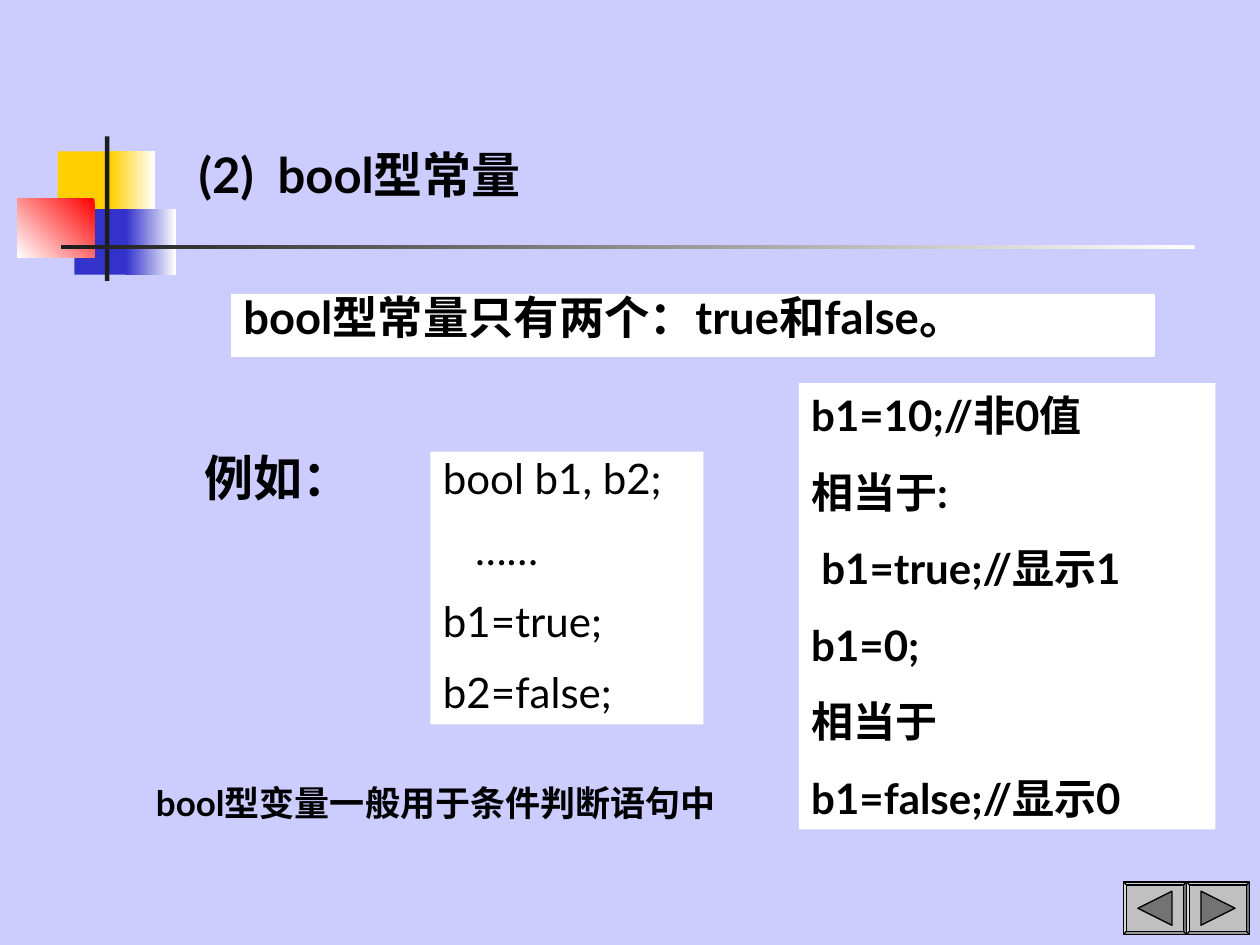
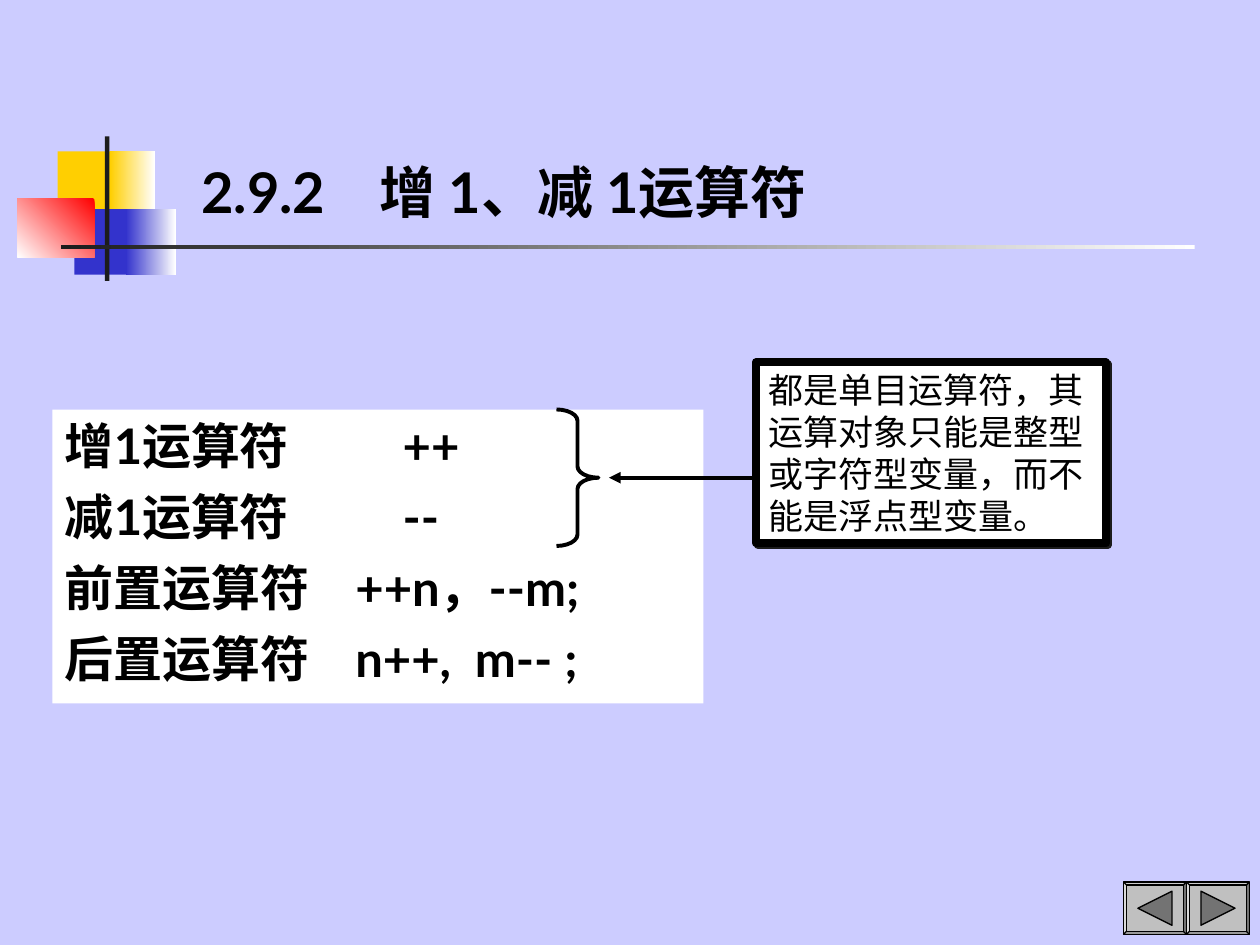
from itertools import groupby

from lxml.etree import SubElement
from pptx import Presentation
from pptx.dml.color import RGBColor
from pptx.enum.shapes import MSO_CONNECTOR, MSO_SHAPE
from pptx.enum.text import MSO_ANCHOR
from pptx.oxml.ns import qn
from pptx.util import Pt

COLORS = {
    "background": "CCCCFF",
    "white": "FFFFFF",
    "black": "000000",
    "yellow": "FFCF01",
    "blue": "3333CC",
    "red": "FF0000",
    "rule": "1C1C1C",
    "button": "C0C0C0",
    "arrow": "737373",
}
LATIN, CHINESE = "Lato", "Noto Sans CJK SC"


def draw(slide, preset, box, fill=None, fade=None, angle=180, line=None, width=0.75):
    shape = slide.shapes.add_shape(preset, *map(Pt, box))
    shape.shadow.inherit = False
    if fade:
        shape.fill.gradient()
        shape.fill.gradient_angle = angle
        for stop, name in zip(shape.fill.gradient_stops, fade):
            stop.color.rgb = RGBColor.from_string(COLORS[name])
    elif fill:
        shape.fill.solid()
        shape.fill.fore_color.rgb = RGBColor.from_string(COLORS[fill])
    else:
        shape.fill.background()
    if line:
        shape.line.color.rgb = RGBColor.from_string(COLORS[line])
        shape.line.width = Pt(width)
    else:
        shape.line.fill.background()
    return shape


def write(slide, text, box, size=28, bold=True, fill=None, border=None,
          anchor=MSO_ANCHOR.TOP, spacing=None, before=0, tabs=()):
    panel = slide.shapes.add_textbox(*map(Pt, box))
    if fill:
        panel.fill.solid()
        panel.fill.fore_color.rgb = RGBColor.from_string(COLORS[fill])
    if border:
        panel.line.color.rgb = RGBColor.from_string(COLORS["black"])
        panel.line.width = Pt(border)
    frame = panel.text_frame
    frame.word_wrap = True
    frame.vertical_anchor = anchor
    for index, sentence in enumerate(text.split("\n")):
        paragraph = frame.add_paragraph() if index else frame.paragraphs[0]
        if spacing:
            paragraph.line_spacing = spacing
        if index and before:
            paragraph.space_before = Pt(before)
        if tabs:
            stops = SubElement(paragraph._p.get_or_add_pPr(), qn("a:tabLst"))
            SubElement(stops, qn("a:tab"), pos=str(Pt(tabs[index])), algn="l")
        for wide, letters in groupby(sentence, key=lambda c: ord(c) > 0x2E80):
            run = paragraph.add_run()
            run.text = "".join(letters)
            run.font.size = Pt(size)
            run.font.bold = bold
            run.font.color.rgb = RGBColor.from_string(COLORS["black"])
            run.font.name = CHINESE if wide else LATIN
            SubElement(run._r.get_or_add_rPr(), qn("a:ea"), typeface=CHINESE)
    return panel


presentation = Presentation()
presentation.slide_width, presentation.slide_height = Pt(720), Pt(540)
blank = presentation.slide_layouts[6]
constants, operators = [presentation.slides.add_slide(blank) for _ in range(2)]

for slide in (constants, operators):
    slide.background.fill.solid()
    slide.background.fill.fore_color.rgb = RGBColor.from_string(COLORS["background"])

    for box, look in (
        ((33, 86.5, 34.5, 37.5), {"fill": "yellow"}),
        ((63, 86.5, 25.5, 37.5), {"fade": ("white", "yellow")}),
        ((42.5, 119.5, 33, 37.5), {"fill": "blue"}),
        ((72, 119.5, 28.5, 37.5), {"fade": ("white", "blue")}),
        ((10, 113.5, 44, 33.5), {"fade": ("red", "white"), "angle": 225}),
        ((60, 78, 2.5, 82.5), {"fill": "rule"}),
        ((34.75, 140, 648, 2.5), {"fade": ("white", "rule")}),
    ):
        draw(slide, MSO_SHAPE.RECTANGLE, box, **look)

    for left, turn in ((678, 90), (642, 270)):
        button = draw(slide, MSO_SHAPE.BEVEL, (left, 504, 36, 30), fill="button", line="black")
        button.adjustments[0] = 0.06
        arrow = draw(slide, MSO_SHAPE.ISOSCELES_TRIANGLE, (left + 8.25, 509.25, 19.5, 19.5),
                     fill="arrow", line="black")
        arrow.rotation = turn

write(constants, "(2)  bool型常量", (106.5, 66, 230, 54), anchor=MSO_ANCHOR.BOTTOM)
write(constants, "bool型常量只有两个：true和false。", (132, 168, 528, 36),
      size=25.9, fill="white", spacing=0.8)
write(constants, "bool b1, b2;\n   ……\nb1=true;\nb2=false;", (246, 258, 156, 156),
      size=24, bold=False, fill="white", spacing=0.9, before=15)
write(constants, "bool型变量一般用于条件判断语句中", (82, 445.5, 348, 29), size=20, spacing=0.9)
write(constants, "例如：", (110, 252, 110, 41))
write(constants, "b1=10;//非0值\n相当于:\n b1=true;//显示1\nb1=0;\n相当于\nb1=false;//显示0",
      (456.5, 219, 238, 255), size=24, fill="white", before=15)

write(operators, "2.9.2\t增 1、减 1运算符", (108, 72, 414, 60), size=32,
      anchor=MSO_ANCHOR.BOTTOM, tabs=(102,))
write(operators, "增1运算符\t++\n减1运算符\t--\n前置运算符\t++n，--m;\n后置运算符\tn++,  m-- ;",
      (30, 234, 372, 168), fill="white", before=7, tabs=(193, 193, 166, 166))
note = write(operators, "都是单目运算符，其运算对象只能是整型或字符型变量，而不能是浮点型变量。",
             (432, 207, 200, 103.5), size=20, bold=False, fill="white", border=4.5)
effects = SubElement(note._element.spPr, qn("a:effectLst"))
shade = SubElement(effects, qn("a:outerShdw"), dist=str(Pt(1.4)), dir="2700000",
                   algn="ctr", rotWithShape="0")
SubElement(shade, qn("a:srgbClr"), val=COLORS["rule"])

brace = draw(operators, MSO_SHAPE.RIGHT_BRACE, (318, 234, 24, 78), line="black", width=2.25)
brace.adjustments[0] = 0.27
pointer = operators.shapes.add_connector(MSO_CONNECTOR.STRAIGHT, Pt(432), Pt(273), Pt(348), Pt(273))
pointer.line.color.rgb = RGBColor.from_string(COLORS["black"])
pointer.line.width = Pt(2.25)
SubElement(pointer.line._get_or_add_ln(), qn("a:tailEnd"), type="triangle")
SubElement(pointer._element.spPr, qn("a:effectLst"))

presentation.save("out.pptx")
